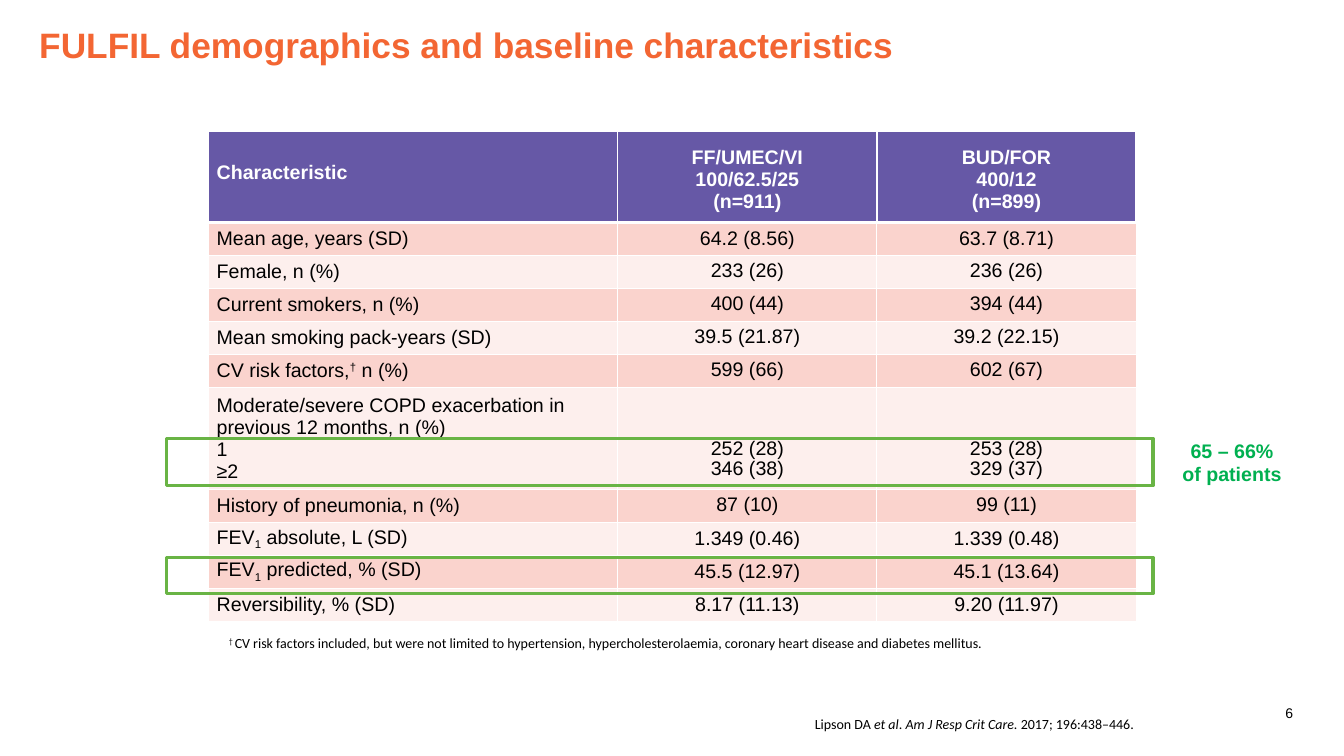
from lxml import etree
from pptx import Presentation
from pptx import util as u
from pptx.dml import color
from pptx.enum import shapes, text
from pptx.oxml import ns

ORANGE, PURPLE, WHITE, BLACK = "F36633", "6658A6", "FFFFFF", "000000"
DARK_BAND, LIGHT_BAND = "FAD3CD", "FDEFED"
BOX_GREEN, TEXT_GREEN = "69B445", "00B050"
LEFT, CENTER, RIGHT = text.PP_ALIGN.LEFT, text.PP_ALIGN.CENTER, text.PP_ALIGN.RIGHT
TOP, MIDDLE, BOTTOM = text.MSO_ANCHOR.TOP, text.MSO_ANCHOR.MIDDLE, text.MSO_ANCHOR.BOTTOM
SUPER, SUB = {"baseline": "30000"}, {"baseline": "-25000"}
ITALIC = {"i": "1"}

COLUMN_WIDTHS = (10.31, 6.53, 6.53)
HEADER_HEIGHT, ROW_HEIGHT, EXACERBATION_HEIGHT = 2.31, 0.83, 2.57
HEADER = (
    ["Characteristic"],
    ["FF/UMEC/VI", "100/62.5/25", "(n=911)"],
    ["BUD/FOR", "400/12", "(n=899)"],
)
ROWS = (
    (["Mean age, years (SD)"], ["64.2 (8.56)"], ["63.7 (8.71)"]),
    (["Female, n (%)"], ["233 (26)"], ["236 (26)"]),
    (["Current smokers, n (%)"], ["400 (44)"], ["394 (44)"]),
    (["Mean smoking pack-years (SD)"], ["39.5 (21.87)"], ["39.2 (22.15)"]),
    ([["CV risk factors,", ("†", SUPER), " n (%)"]], ["599 (66)"], ["602 (67)"]),
    (["Moderate/severe COPD exacerbation in previous 12 months, n (%)", "1", "≥2"],
     ["252 (28)", "346 (38)"], ["253 (28)", "329 (37)"]),
    (["History of pneumonia, n (%)"], ["87 (10)"], ["99 (11)"]),
    ([["FEV", ("1", SUB), " absolute, L (SD)"]], ["1.349 (0.46)"], ["1.339 (0.48)"]),
    ([["FEV", ("1", SUB), " predicted, % (SD)"]], ["45.5 (12.97)"], ["45.1 (13.64)"]),
    (["Reversibility, % (SD)"], ["8.17 (11.13)"], ["9.20 (11.97)"]),
)


def rgb(value):
    """Turn a hex string into a colour."""
    return color.RGBColor.from_string(value)


def write(frame, paragraphs, size, ink=BLACK, font="Arial", bold=False, align=LEFT, spacing=1.0):
    """Fill a text frame; a paragraph is a string or a list of runs."""
    for index, runs in enumerate(paragraphs):
        paragraph = frame.add_paragraph() if index else frame.paragraphs[0]
        paragraph.alignment = align
        paragraph.line_spacing = spacing
        for item in [runs] if isinstance(runs, str) else runs:
            words, attributes = (item, {}) if isinstance(item, str) else item
            run = paragraph.add_run()
            run.text = words
            run.font.size = u.Pt(size)
            run.font.name = font
            run.font.bold = bold
            run.font.color.rgb = rgb(ink)
            for name, value in attributes.items():
                run._r.get_or_add_rPr().set(name, value)


def set_margins(target, left, top, right, bottom):
    """Set the four insets of a text frame or a table cell."""
    target.margin_left, target.margin_top = u.Cm(left), u.Cm(top)
    target.margin_right, target.margin_bottom = u.Cm(right), u.Cm(bottom)


def add_text(slide, box, paragraphs, size, anchor=TOP, margins=(0.25, 0.13, 0.25, 0.13), **style):
    """Add a wrapping text box and return its frame."""
    frame = slide.shapes.add_textbox(*map(u.Cm, box)).text_frame
    frame.word_wrap = True
    frame.vertical_anchor = anchor
    set_margins(frame, *margins)
    write(frame, paragraphs, size, **style)
    return frame


def add_highlight(slide, top, height):
    """Add a green outline across the table."""
    shape = slide.shapes.add_shape(
        shapes.MSO_SHAPE.RECTANGLE, u.Cm(4.19), u.Cm(top), u.Cm(24.87), u.Cm(height))
    shape.shadow.inherit = False
    shape.fill.background()
    shape.line.color.rgb = rgb(BOX_GREEN)
    shape.line.width = u.Pt(2.25)


def set_borders(cell, side=0.75, top=0.75, bottom=0.75):
    """Draw white cell borders with widths in points."""
    properties = cell._tc.get_or_add_tcPr()
    widths = {"a:lnL": side, "a:lnR": side, "a:lnT": top, "a:lnB": bottom}
    for index, (tag, width) in enumerate(widths.items()):
        line = etree.Element(ns.qn(tag), w=str(int(u.Pt(width))))
        fill = etree.SubElement(line, ns.qn("a:solidFill"))
        etree.SubElement(fill, ns.qn("a:srgbClr"), val=WHITE)
        properties.insert(index, line)


def fill_cell(cell, paragraphs, fill, margins, anchor=MIDDLE, **style):
    """Give a cell its fill, insets and text."""
    cell.fill.solid()
    cell.fill.fore_color.rgb = rgb(fill)
    cell.vertical_anchor = anchor
    set_margins(cell, *margins)
    write(cell.text_frame, paragraphs, 14, **style)


def add_characteristics_table(slide):
    """Add the table of baseline characteristics."""
    heights = [HEADER_HEIGHT] + [
        EXACERBATION_HEIGHT if len(label) > 1 else ROW_HEIGHT for label, *_ in ROWS]
    table = slide.shapes.add_table(
        len(heights), len(COLUMN_WIDTHS), u.Cm(5.26), u.Cm(3.3),
        u.Cm(sum(COLUMN_WIDTHS)), u.Cm(sum(heights))).table
    table.horz_banding = False
    for column, width in zip(table.columns, COLUMN_WIDTHS):
        column.width = u.Cm(width)
    for row, height in zip(table.rows, heights):
        row.height = u.Cm(height)
    for column, paragraphs in enumerate(HEADER):
        cell = table.cell(0, column)
        fill_cell(cell, paragraphs, PURPLE, (0.2, 0.03, 0.2, 0.25),
                  anchor=BOTTOM if column else MIDDLE, ink=WHITE, bold=True,
                  align=CENTER if column else LEFT)
        set_borders(cell, side=1, bottom=2.25)
    for row, (label, *values) in enumerate(ROWS, start=1):
        fill = DARK_BAND if row % 2 else LIGHT_BAND
        top = 2.25 if row == 1 else 0.75
        fill_cell(table.cell(row, 0), label, fill, (0.2, 0.03, 0.2, 0.03))
        set_borders(table.cell(row, 0), top=top)
        for column, value in enumerate(values, start=1):
            cell = table.cell(row, column)
            several = len(value) > 1
            fill_cell(cell, value, fill, (0.18, 0, 0.18, 0.25 if several else 0),
                      anchor=BOTTOM if several else MIDDLE, align=CENTER,
                      spacing=0.9 if row < 8 else 1.0)
            set_borders(cell, top=top)


def main():
    """Build the slide and save it."""
    presentation = Presentation()
    presentation.slide_width, presentation.slide_height = u.Cm(33.87), u.Cm(19.05)
    slide = presentation.slides.add_slide(presentation.slide_layouts[6])
    add_text(slide, (0.99, 0.6, 28.07, 1.04), ["FULFIL demographics and baseline characteristics"],
             25.2, anchor=MIDDLE, margins=(0, 0, 0, 0), ink=ORANGE, bold=True)
    add_text(slide, (6.38, 17.27, 22.7, 1.37),
             [["Lipson DA ", ("et al", ITALIC), ". ", ("Am J Resp Crit Care. ", ITALIC),
               "2017; 196:438–446."]],
             10, anchor=BOTTOM, margins=(0.51, 0.51, 0.51, 0.51),
             font="Calibri", align=RIGHT, spacing=0.85)
    add_text(slide, (5.26, 15.82, 23.47, 0.76),
             [[("† ", SUPER), "CV risk factors included, but were not limited to hypertension, "
               "hypercholesterolaemia, coronary heart disease and diabetes mellitus."]],
             10, anchor=MIDDLE, margins=(0.51, 0, 0.51, 0), font="Calibri")
    add_characteristics_table(slide)
    add_highlight(slide, 11.05, 1.19)
    add_text(slide, (29.49, 10.92, 3.12, 1.45), ["65 – 66% of patients"], 14,
             ink=TEXT_GREEN, bold=True, align=CENTER)
    add_highlight(slide, 14.05, 0.91)
    add_text(slide, (31.34, 17.63, 1.5, 0.76), ["6"], 10, align=RIGHT)
    presentation.save("out.pptx")


if __name__ == "__main__":
    main()
